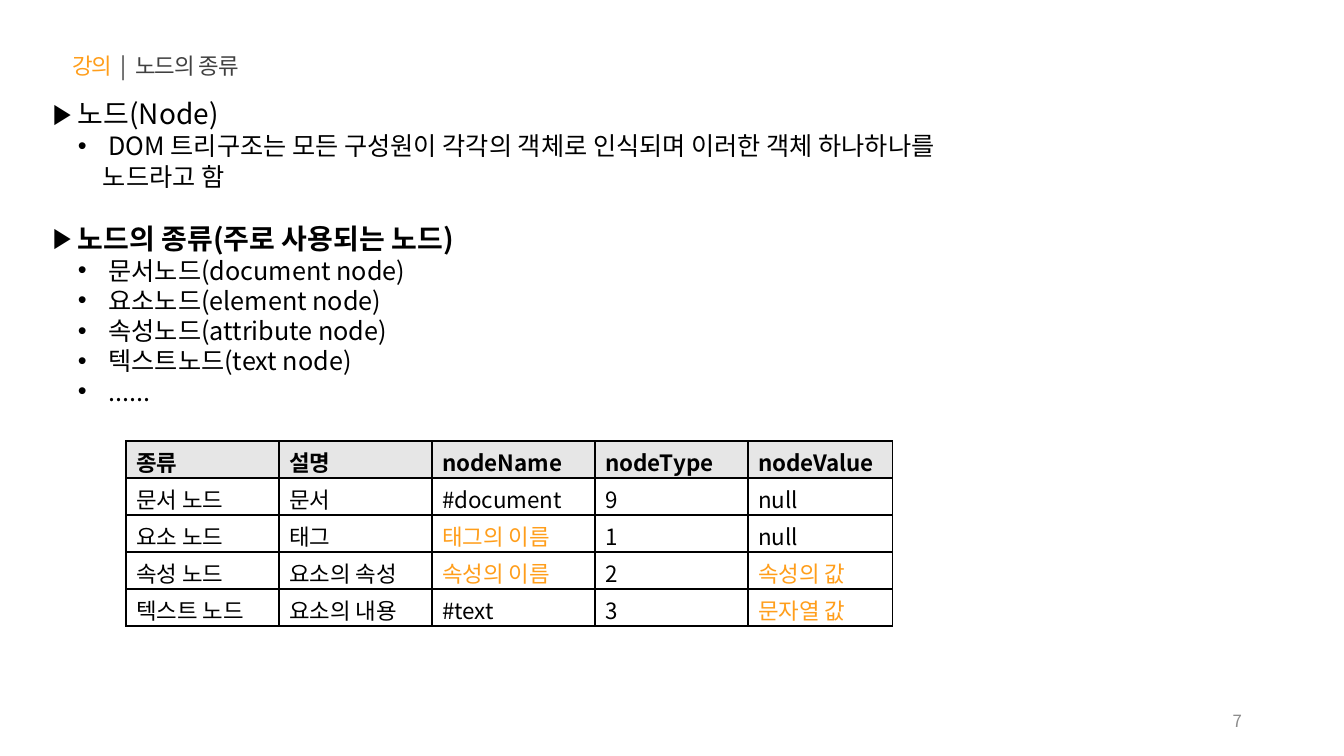
import pptx
import pptx.dml.color
import pptx.enum.text
import pptx.oxml.ns
import pptx.util
from lxml import etree

PX = 914400 / 100.8
COLORS = {"accent": "FF9E1B", "heading": "404040", "muted": "8C8C8C",
          "text": "000000", "header": "E6E6E6"}
ALIGN = pptx.enum.text.PP_ALIGN
ANCHOR = pptx.enum.text.MSO_ANCHOR
FIT = pptx.enum.text.MSO_AUTO_SIZE


def px(length):
    return pptx.util.Emu(round(length * PX))


def add_xml(parent, tag, **attributes):
    return etree.SubElement(parent, pptx.oxml.ns.qn(tag), attributes)


def apply_formats(target, formats):
    for name, value in formats.items():
        setattr(target, name, value)


class NodeSlide:
    font = "Noto Sans CJK KR"

    def __init__(self, deck):
        self.slide = deck.slides.add_slide(deck.slide_layouts[5])

    def color(self, name):
        return pptx.dml.color.RGBColor.from_string(COLORS[name])

    def add_text(self, paragraph, text, size, color="text", bold=False):
        run = paragraph.add_run()
        run.text = text
        apply_formats(run.font, {"size": pptx.util.Pt(size), "bold": bold, "name": self.font})
        run.font.color.rgb = self.color(color)
        add_xml(run.font._element, "a:ea", typeface=self.font)
        return run

    def title(self, box, parts):
        title = self.slide.shapes.title
        apply_formats(title, dict(zip(("left", "top", "width", "height"), map(px, box))))
        frame = title.text_frame
        apply_formats(frame, {"word_wrap": True, "auto_size": FIT.NONE,
                              "vertical_anchor": ANCHOR.TOP})
        heading = frame.paragraphs[0]
        heading.alignment = ALIGN.LEFT
        for text, color in parts:
            run = self.add_text(heading, text, 16, color)
            run.font._element.set("spc", "-60")

    def text_box(self, box, anchor=ANCHOR.TOP):
        frame = self.slide.shapes.add_textbox(*map(px, box)).text_frame
        apply_formats(frame, {"word_wrap": True, "vertical_anchor": anchor})
        return frame

    def page_number(self, box, number):
        paragraph = self.text_box(box, ANCHOR.MIDDLE).paragraphs[0]
        paragraph.alignment = ALIGN.RIGHT
        self.add_text(paragraph, number, 12, "muted")

    def bullet(self, paragraph, mark, left, indent):
        properties = paragraph._p.get_or_add_pPr()
        properties.set("marL", str(px(left)))
        properties.set("indent", str(px(indent)))
        add_xml(properties, "a:buFont", typeface="Arial")
        add_xml(properties, "a:buChar", char=mark)

    def outline(self, box, sections):
        """Put headings, each with its list of points, into one text box."""
        frame = self.text_box(box)
        paragraph = frame.paragraphs[0]
        for index, (heading, bold, points) in enumerate(sections):
            if index:
                paragraph = frame.add_paragraph()
                paragraph.space_before = pptx.util.Pt(21.6)
            self.bullet(paragraph, "▶", 0, 0)
            self.add_text(paragraph, " " + heading, 20, bold=bold)
            for point in points:
                paragraph = frame.add_paragraph()
                paragraph.level = 1
                self.bullet(paragraph, "•", 50, -25)
                self.add_text(paragraph, " " + point, 18)

    def borders(self, cell):
        properties = cell._tc.get_or_add_tcPr()
        for side in ("a:lnL", "a:lnR", "a:lnT", "a:lnB"):
            line = add_xml(properties, side, w=str(pptx.util.Pt(1)))
            add_xml(add_xml(line, "a:solidFill"), "a:srgbClr", val=COLORS["text"])

    def table(self, left, top, widths, row_height, rows, highlights):
        table = self.slide.shapes.add_table(
            len(rows), len(widths), px(left), px(top),
            px(sum(widths)), px(row_height * len(rows))).table
        apply_formats(table, {"first_row": False, "horz_banding": False})
        for column, width in zip(table.columns, widths):
            column.width = px(width)
        for r, row in enumerate(rows):
            table.rows[r].height = px(row_height)
            for c, text in enumerate(row):
                cell = table.cell(r, c)
                self.borders(cell)
                if r == 0:
                    cell.fill.solid()
                    cell.fill.fore_color.rgb = self.color("header")
                else:
                    cell.fill.background()
                color = "accent" if text in highlights else "text"
                self.add_text(cell.text_frame.paragraphs[0], text, 16, color, r == 0)


def main():
    deck = pptx.Presentation()
    apply_formats(deck, {"slide_width": px(1344), "slide_height": px(756)})
    page = NodeSlide(deck)
    page.title((62, 47, 519, 37), [("강의  ", "accent"), ("|  노드의 종류", "heading")])
    page.page_number((950, 701, 302, 40), "7")
    page.outline((43, 92, 921, 320), [
        ("노드(Node)", False, [
            "DOM 트리구조는 모든 구성원이 각각의 객체로 인식되며 이러한 객체 하나하나를 노드라고 함"]),
        ("노드의 종류(주로 사용되는 노드)", True, [
            "문서노드(document node)", "요소노드(element node)",
            "속성노드(attribute node)", "텍스트노드(text node)", "......"]),
    ])
    page.table(126, 441, (153, 153, 163, 153, 145), 37, [
        ("종류", "설명", "nodeName", "nodeType", "nodeValue"),
        ("문서 노드", "문서", "#document", "9", "null"),
        ("요소 노드", "태그", "태그의 이름", "1", "null"),
        ("속성 노드", "요소의 속성", "속성의 이름", "2", "속성의 값"),
        ("텍스트 노드", "요소의 내용", "#text", "3", "문자열 값"),
    ], {"태그의 이름", "속성의 이름", "속성의 값", "문자열 값"})
    deck.save("out.pptx")


if __name__ == "__main__":
    main()
